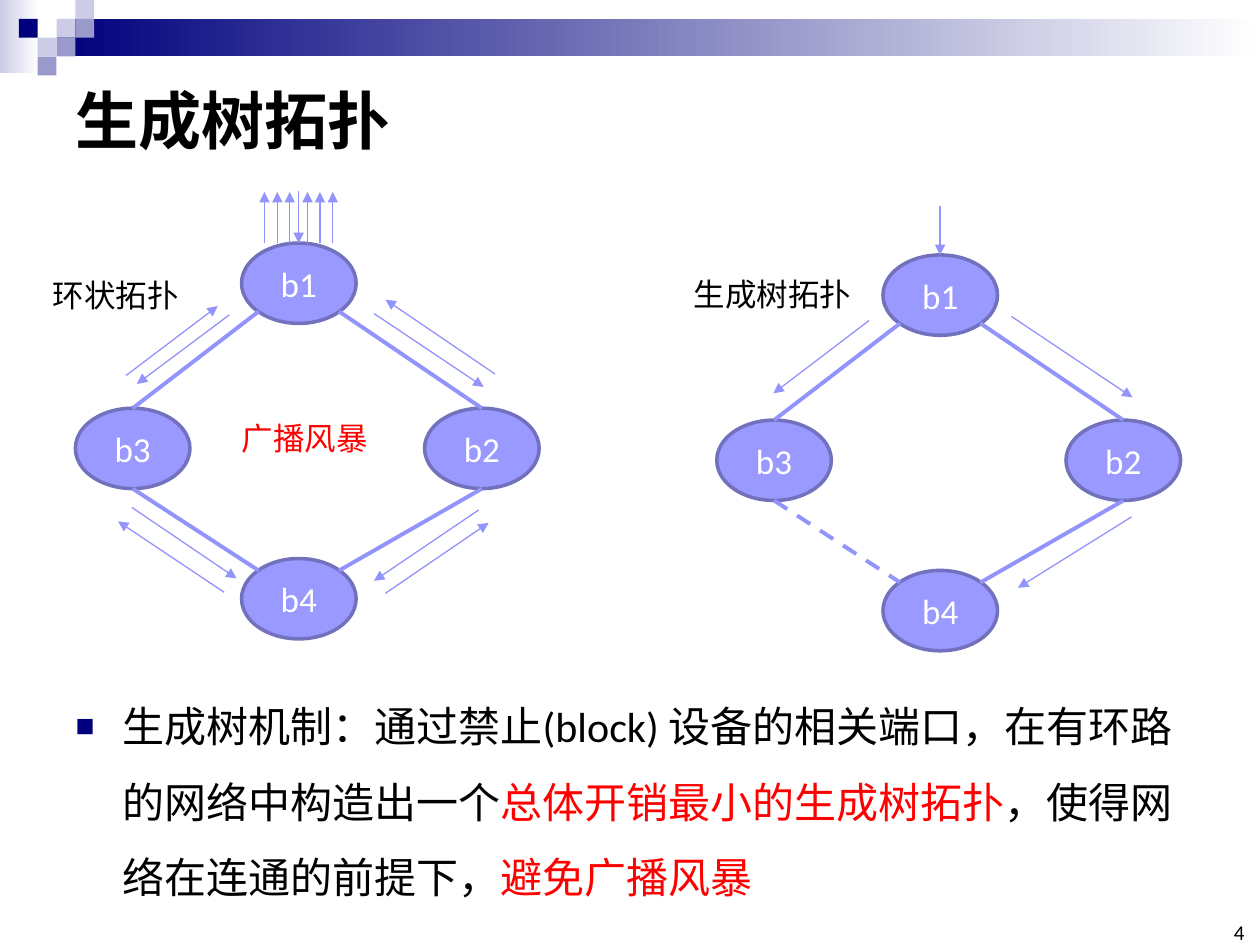
from lxml.etree import SubElement
from pptx import Presentation
from pptx.dml.color import RGBColor
from pptx.enum.dml import MSO_LINE as Dash
from pptx.enum.shapes import MSO_CONNECTOR as Conn, MSO_SHAPE as Shape
from pptx.enum.text import MSO_ANCHOR as Anchor, MSO_AUTO_SIZE as Auto, PP_ALIGN as Align
from pptx.oxml.ns import qn
from pptx.util import Cm, Pt

NODE_W, NODE_H = 2.31, 1.62
NODES = {"b1": (3.35, 0), "b3": (0, 3.33), "b2": (7.04, 3.33), "b4": (3.35, 6.36)}
SITES = {"top": (0.5, 0), "bottom": (0.5, 1), "nw": (0.15, 0.15),
         "ne": (0.85, 0.15), "sw": (0.15, 0.85), "se": (0.85, 0.85)}
LINKS = [("b1", "sw", "b3", "top"), ("b1", "se", "b2", "top"),
         ("b3", "bottom", "b4", "nw"), ("b2", "bottom", "b4", "ne")]

RING_ARROWS = [
    (1.02, 2.67, 2.87, 1.27), (3.1, 1.45, 1.24, 2.84),
    (6.02, 1.42, 8.23, 2.9), (8.46, 2.64, 6.25, 1.14),
    (1.14, 5.33, 3.25, 6.76), (3, 7.04, 0.86, 5.61),
    (8.13, 5.38, 6.02, 6.81), (6.25, 7.06, 8.33, 5.64),
    (4.5, -1.04, 4.5, 0),
] + [(4.5 + dx, 0, 4.5 + dx, -1.03) for dx in (-0.69, -0.43, -0.18, 0.18, 0.43, 0.69)]
TREE_ARROWS = [
    (4.5, -0.99, 4.5, 0), (3.07, 1.32, 1.14, 2.79),
    (5.94, 1.24, 8.38, 2.87), (8.36, 5.28, 6.07, 6.71),
]


def rgb(value):
    return RGBColor.from_string(value)


def apply(obj, fmt):
    for name, value in fmt.items():
        setattr(obj, name, value)


def box(*lengths):
    return dict(zip(("left", "top", "width", "height"), map(Cm, lengths)))


def add_run(p, text, size, color="000000", bold=False):
    r = p.add_run()
    r.text = text
    apply(r.font, {"size": Pt(size), "name": "Calibri", "bold": bold})
    r.font.color.rgb = rgb(color)


def add_shape(s, kind, x, y, w, h, fill):
    sp = s.shapes.add_shape(kind, *map(Cm, (x, y, w, h)))
    sp.shadow.inherit = False
    if isinstance(fill, tuple):
        sp.fill.gradient()
        sp.fill.gradient_angle = 0
        for stop, color, pos in zip(sp.fill.gradient_stops, fill, (0, 1)):
            stop.color.rgb = rgb(color)
            stop.position = pos
    else:
        sp.fill.solid()
        sp.fill.fore_color.rgb = rgb(fill)
    sp.line.fill.background()
    return sp


def add_line(s, x1, y1, x2, y2, width, arrow=False, dash=None):
    cxn = s.shapes.add_connector(Conn.STRAIGHT, *map(Cm, (x1, y1, x2, y2)))
    cxn.line.color.rgb = rgb("9393FC")
    apply(cxn.line, {"width": Pt(width), "dash_style": dash})
    if arrow:
        SubElement(cxn.line._get_or_add_ln(), qn("a:tailEnd"), type="triangle")
    SubElement(cxn._element.spPr, qn("a:effectLst"))


def add_label(s, x, y, w, text, color="000000"):
    tf = s.shapes.add_textbox(*map(Cm, (x, y, w, 1.02))).text_frame
    apply(tf, {"word_wrap": False, "auto_size": Auto.SHAPE_TO_FIT_TEXT})
    add_run(tf.paragraphs[0], text, 18, color)


def add_header(s, x, y, w):
    u = 0.38
    add_shape(s, Shape.RECTANGLE, x, y, 0.79, 1.47, ("CCCCE6", "FFFFFF"))
    add_shape(s, Shape.RECTANGLE, x + 3 * u, y + u, w - 3 * u, 2 * u, ("00007D", "FFFFFF"))
    tiles = [(3, 1, "CCCCE6"), (4, 0, "CCCCE6"), (4, 1, "9999CC"), (2, 2, "CCCCE6"),
             (1, 1, "00007D"), (3, 2, "9999CC"), (2, 3, "9999CC")]
    for col, row, color in tiles:
        add_shape(s, Shape.RECTANGLE, x + col * u, y + row * u, u, u, color)


def fill_title(sp, text):
    apply(sp, box(1.27, 1.27, 22.86, 2.26))
    tf = sp.text_frame
    apply(tf, {"vertical_anchor": Anchor.MIDDLE, "auto_size": Auto.NONE})
    p = tf.paragraphs[0]
    p.alignment = Align.LEFT
    add_run(p, text, 36, bold=True)


def fill_body(sp, parts):
    apply(sp, box(1.27, 13.49, 22.86, 4.52))
    tf = sp.text_frame
    tf.auto_size = Auto.NONE
    p = tf.paragraphs[0]
    apply(p, {"line_spacing": 1.5, "space_before": Pt(0)})
    pPr = p._p.get_or_add_pPr()
    pPr.set("marL", str(Cm(0.95)))
    pPr.set("indent", str(-Cm(0.95)))
    SubElement(SubElement(pPr, qn("a:buClr")), qn("a:srgbClr"), val="00007D")
    SubElement(pPr, qn("a:buSzPct"), val="75000")
    SubElement(pPr, qn("a:buFont"), typeface="Arial")
    SubElement(pPr, qn("a:buChar"), char="■")
    for text, color in parts:
        add_run(p, text, 24, color)


def add_topology(s, x, y, arrows, labels, blocked=None):
    for name, (dx, dy) in NODES.items():
        sp = add_shape(s, Shape.OVAL, x + dx, y + dy, NODE_W, NODE_H, "9999FF")
        sp.line.color.rgb = rgb("7171BD")
        sp.line.width = Pt(2)
        sp.text_frame.vertical_anchor = Anchor.MIDDLE
        p = sp.text_frame.paragraphs[0]
        p.alignment = Align.CENTER
        add_run(p, name, 20, "FFFFFF")

    def site(name, side):
        (dx, dy), (fx, fy) = NODES[name], SITES[side]
        return x + dx + fx * NODE_W, y + dy + fy * NODE_H

    for a, side_a, b, side_b in LINKS:
        dash = Dash.DASH if (a, b) == blocked else None
        add_line(s, *site(a, side_a), *site(b, side_b), 2.25, dash=dash)
    for x1, y1, x2, y2 in arrows:
        add_line(s, x + x1, y + y1, x + x2, y + y2, 0.75, arrow=True)
    for dx, dy, w, text, color in labels:
        add_label(s, x + dx, y + dy, w, text, color)


def add_page_number(s, x, y, w, h, text):
    tf = s.shapes.add_textbox(*map(Cm, (x, y, w, h))).text_frame
    apply(tf, {"margin_left": 0, "margin_right": 0, "margin_top": 0, "margin_bottom": 0,
               "word_wrap": True, "vertical_anchor": Anchor.BOTTOM})
    p = tf.paragraphs[0]
    p.alignment = Align.RIGHT
    add_run(p, text, 12)


def main():
    prs = Presentation()
    apply(prs, {"slide_width": Cm(25.4), "slide_height": Cm(19.05)})
    s = prs.slides.add_slide(prs.slide_layouts[1])
    add_header(s, 0, 0, 25.4)
    fill_title(s.shapes.title, "生成树拓扑")
    fill_body(s.placeholders[1], [
        ("生成树机制：通过禁止(block) 设备的相关端口，在有环路的网络中构造出一个", "000000"),
        ("总体开销最小的生成树拓扑", "FF0000"),
        ("，使得网络在连通的前提下，", "000000"),
        ("避免广播风暴", "FF0000"),
    ])
    add_page_number(s, 24.51, 18.62, 0.58, 0.43, "4")
    add_topology(s, 1.52, 4.9, RING_ARROWS, [
        (-0.71, 0.53, 3.07, "环状拓扑", "000000"),
        (3.1, 3.43, 3.07, "广播风暴", "FF0000"),
    ])
    add_topology(s, 14.45, 5.14, TREE_ARROWS, [
        (-0.71, 0.27, 3.71, "生成树拓扑", "000000"),
    ], blocked=("b3", "b4"))
    prs.save("out.pptx")


if __name__ == "__main__":
    main()
